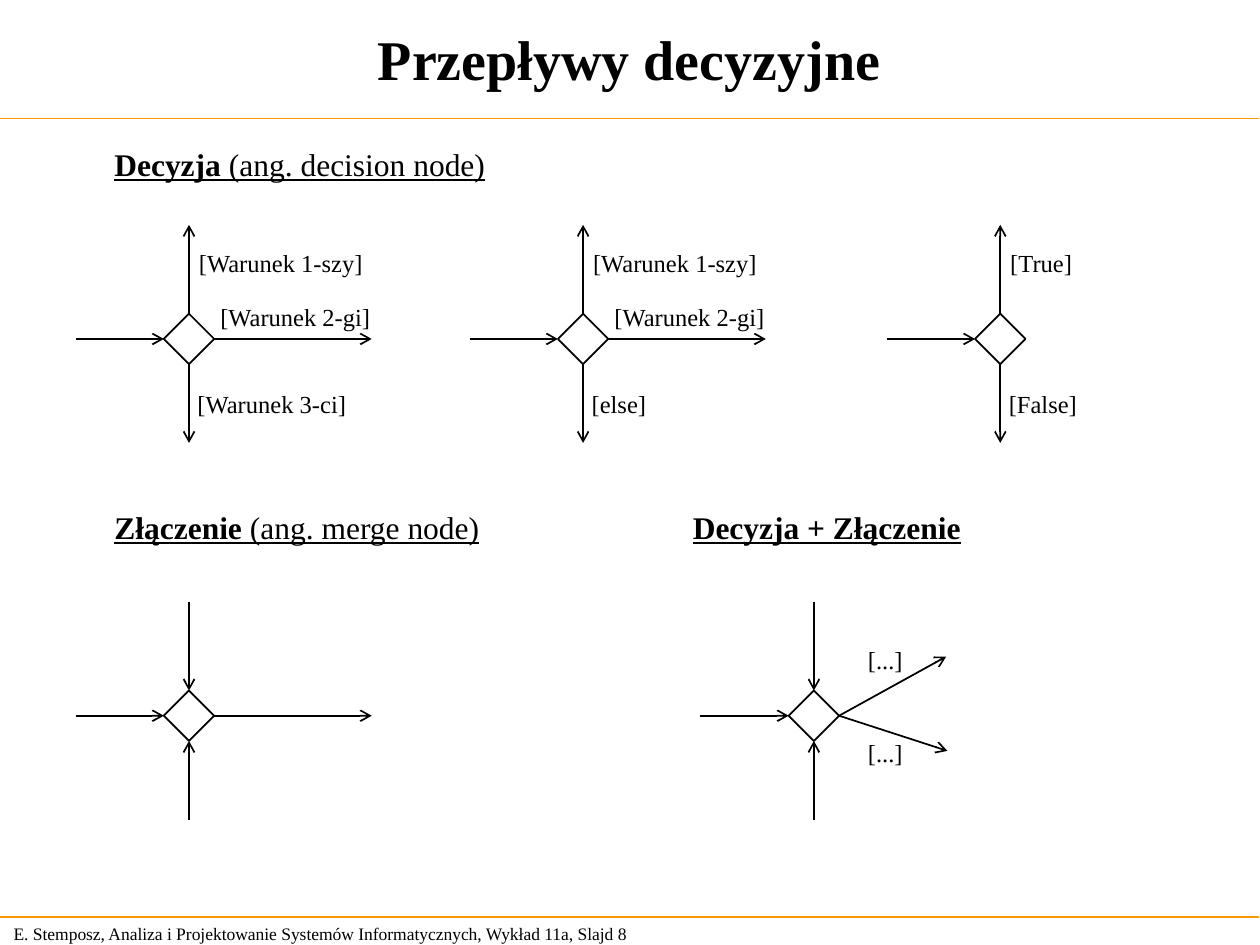
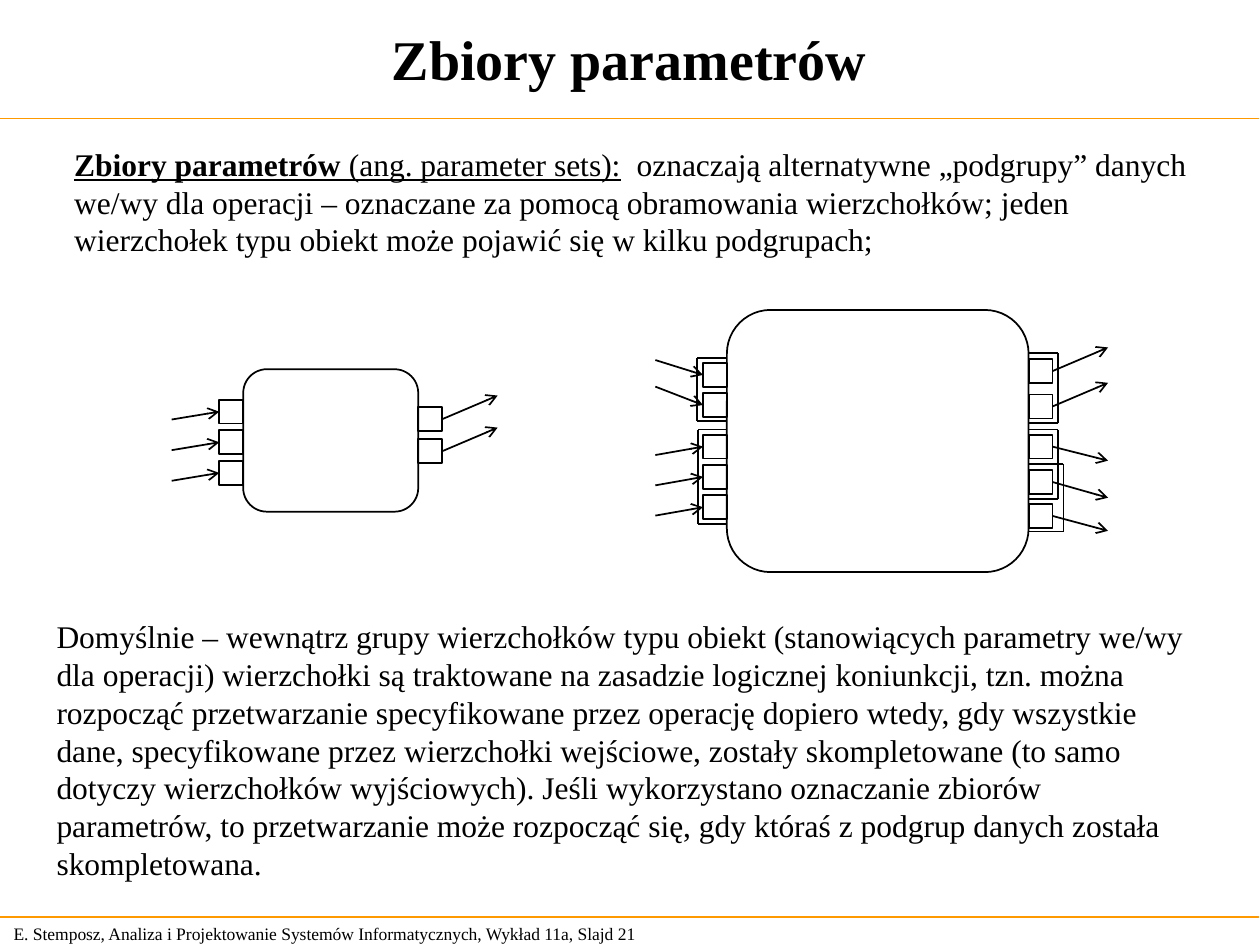
from pptx import Presentation
from pptx.dml.color import RGBColor
from pptx.enum.shapes import MSO_CONNECTOR, MSO_SHAPE
from pptx.enum.text import MSO_ANCHOR, MSO_AUTO_SIZE, PP_ALIGN
from pptx.oxml.ns import qn
from pptx.util import Pt
from lxml.etree import SubElement

FONT = "Times New Roman"
BLACK = "000000"
ORANGE = "FF9900"
FOOTER = "E. Stemposz, Analiza i Projektowanie Systemów Informatycznych, Wykład 11a, Slajd {}"
RULE_TOPS = (67.7, 523.9)
TOP, LEFT, BOTTOM, RIGHT = range(4)  # connection sites of rectangles and diamonds

NODE = 28.8
UPPER_ROW, LOWER_ROW = 193.7, 409
ARM_ENDS = {LEFT: (-64.8, 0), TOP: (0, -65.2), RIGHT: (104.4, 0), BOTTOM: (0, 59.4)}
# offset from the node's centre to the label's corner
UP_LABEL, RIGHT_LABEL, DOWN_LABEL = (-1.4, -55.5), (10.8, -24.5), (-2.2, 25.2)

PIN = 13.7


def color(hex_value):
    return RGBColor.from_string(hex_value)


def style_font(paragraph, size, bold=None):
    paragraph.font.name = FONT
    paragraph.font.size = Pt(size)
    paragraph.font.color.rgb = color(BLACK)
    paragraph.font.bold = bold


def add_text(slide, left, top, width, height, runs, size, wrap=True):
    """Add a one-paragraph box; runs are (text, bold, underline)."""
    box = slide.shapes.add_textbox(Pt(left), Pt(top), Pt(width), Pt(height))
    frame = box.text_frame
    frame.word_wrap = wrap
    frame.auto_size = MSO_AUTO_SIZE.SHAPE_TO_FIT_TEXT
    paragraph = frame.paragraphs[0]
    for text, bold, underline in runs:
        run = paragraph.add_run()
        run.text = text
        run.font.bold = bold
        run.font.underline = underline
    style_font(paragraph, size)
    return box


def add_line(slide, start, end, line_color=BLACK, arrow=False):
    line = slide.shapes.add_connector(
        MSO_CONNECTOR.STRAIGHT, *(Pt(value) for value in (*start, *end)))
    line.line.color.rgb = color(line_color)
    line.line.width = Pt(1)
    properties = line._element.spPr
    if arrow:
        SubElement(properties.find(qn("a:ln")), qn("a:tailEnd"), type="arrow")
    SubElement(properties, qn("a:effectLst"))
    return line


def add_arrow(slide, shape, site, outer, inward):
    """Join a side of a shape to an outer point; inward points at the shape."""
    arrow = add_line(slide, outer, outer, arrow=True)
    if inward:
        arrow.end_connect(shape, site)
    else:
        arrow.begin_connect(shape, site)


def add_outline(slide, kind, left, top, width, height):
    shape = slide.shapes.add_shape(kind, Pt(left), Pt(top), Pt(width), Pt(height))
    shape.shadow.inherit = False
    shape.fill.background()
    shape.line.color.rgb = color(BLACK)
    shape.line.width = Pt(1)
    return shape


def add_slide(deck, title, number):
    slide = deck.slides.add_slide(deck.slide_layouts.get_by_name("Title Only"))
    footer = add_text(slide, 0.7, 523.9, 377.3, 19.4,
                      [(FOOTER.format(number), None, None)], 10)
    footer.text_frame.vertical_anchor = MSO_ANCHOR.MIDDLE
    for top in RULE_TOPS:
        add_line(slide, (-0.7, top), (719.3, top), ORANGE)

    heading = slide.shapes.title
    heading.left, heading.top, heading.width, heading.height = (
        Pt(0), Pt(0), Pt(719.3), Pt(66.2))
    frame = heading.text_frame
    frame.text = title
    frame.auto_size = MSO_AUTO_SIZE.NONE
    frame.vertical_anchor = MSO_ANCHOR.MIDDLE
    frame.paragraphs[0].alignment = PP_ALIGN.CENTER
    style_font(frame.paragraphs[0], 32, True)
    return slide


def add_node(slide, x, y, inputs, outputs, labels=()):
    """Draw a diamond centred at x, y; arms are sites or (site, offset of the outer end)."""
    node = add_outline(slide, MSO_SHAPE.DIAMOND, x - NODE / 2, y - NODE / 2, NODE, NODE)
    for arms, inward in ((inputs, True), (outputs, False)):
        for arm in arms:
            site, (dx, dy) = arm if isinstance(arm, tuple) else (arm, ARM_ENDS[arm])
            add_arrow(slide, node, site, (x + dx, y + dy), inward)
    for text, (dx, dy), width in labels:
        add_text(slide, x + dx, y + dy, width, 24.5, [(text, None, None)], 14, wrap=False)


def add_pins(slide, left, pins, site, dx, inward):
    """Stack pins given as (top, vertical offset of the arrow's outer end)."""
    for top, dy in pins:
        pin = add_outline(slide, MSO_SHAPE.RECTANGLE, left, top, PIN, PIN)
        edge = left if site == LEFT else left + PIN
        add_arrow(slide, pin, site, (edge + dx, top + PIN / 2 + dy), inward)


def add_operation(slide, left, top, width, height, inputs, outputs):
    add_outline(slide, MSO_SHAPE.ROUNDED_RECTANGLE, left, top, width, height)
    add_pins(slide, left - PIN, inputs, LEFT, -27.2, inward=True)
    add_pins(slide, left + width, outputs, RIGHT, 31.7, inward=False)


def add_parameter_set(slide, edge, outer, top, bottom):
    corners = [(edge, top), (outer, top), (outer, bottom), (edge, bottom)]
    for start, end in zip(corners, corners[1:]):
        add_line(slide, start, end)


def build_decision_flows(deck):
    slide = add_slide(deck, "Przepływy decyzyjne", 8)
    headings = [
        (58.3, 79.2, 230, "Decyzja", " (ang. decision node)"),
        (58.3, 286.6, 226, "Złączenie", " (ang. merge node)"),
        (388.8, 286.6, 170, "Decyzja + Złączenie", ""),
    ]
    for left, top, width, term, translation in headings:
        runs = [(term, True, True)]
        if translation:
            runs.append((translation, False, True))
        add_text(slide, left, top, width, 28.8, runs, 18)

    first = ("[Warunek 1-szy]", UP_LABEL, 110)
    second = ("[Warunek 2-gi]", RIGHT_LABEL, 103)
    add_node(slide, 108, UPPER_ROW, [LEFT], [TOP, RIGHT, BOTTOM],
             [first, second, ("[Warunek 3-ci]", DOWN_LABEL, 102)])
    add_node(slide, 333.2, UPPER_ROW, [LEFT], [TOP, RIGHT, BOTTOM],
             [first, second, ("[else]", DOWN_LABEL, 48)])
    add_node(slide, 571.6, UPPER_ROW, [LEFT], [TOP, BOTTOM],
             [("[True]", UP_LABEL, 53), ("[False]", DOWN_LABEL, 56)])

    add_node(slide, 108, LOWER_ROW, [LEFT, TOP, BOTTOM], [RIGHT])
    add_node(slide, 465.1, LOWER_ROW, [LEFT, TOP, BOTTOM],
             [(RIGHT, (75.6, -33.8)), (RIGHT, (76.3, 20.1))],
             [("[...]", (23.8, -44), 38), ("[...]", (23.8, 9.3), 38)])


def build_parameter_sets(deck):
    slide = add_slide(deck, "Zbiory parametrów", 21)
    add_text(slide, 35.3, 79.2, 670.3, 72, [
        ("Zbiory parametrów ", True, True),
        ("(ang. parameter sets):", False, True),
        ("  oznaczają alternatywne „podgrupy” danych we/wy dla operacji – oznaczane "
         "za pomocą obramowania wierzchołków; jeden wierzchołek typu obiekt może "
         "pojawić się w kilku podgrupach;", False, False),
    ], 18)

    add_operation(slide, 139, 211, 100, 81.4,
                  [(228.4 + 17.5 * row, 4.5) for row in range(3)],
                  [(232.7, -13.5), (251, -13.5)])

    add_operation(slide, 415.4, 177.1, 172.4, 149.8,
                  [(207.4, -8.5), (224.6, -10.5)]
                  + [(248.4 + 17.3 * row, 4.8) for row in range(3)],
                  [(205.2, -13.5), (225.4, -13.5), (248.4, 8), (268.6, 9), (288, 8.5)])
    for outer, top, bottom in ((398.2, 204.5, 240.8), (398.7, 245.5, 299.5)):
        add_parameter_set(slide, 415.4, outer, top, bottom)
    for outer, top, bottom in ((604.8, 201.6, 241.9), (604.8, 245.5, 285.1),
                               (607.7, 265, 303.8)):
        add_parameter_set(slide, 587.8, outer, top, bottom)

    add_text(slide, 25.2, 349.2, 670.3, 158.4, [(
        "Domyślnie – wewnątrz grupy wierzchołków typu obiekt (stanowiących parametry "
        "we/wy dla operacji) wierzchołki są traktowane na zasadzie logicznej koniunkcji, "
        "tzn. można rozpocząć przetwarzanie specyfikowane przez operację dopiero wtedy, "
        "gdy wszystkie dane, specyfikowane przez wierzchołki wejściowe, zostały "
        "skompletowane (to samo dotyczy wierzchołków wyjściowych). Jeśli wykorzystano "
        "oznaczanie zbiorów parametrów, to przetwarzanie może rozpocząć się, gdy któraś "
        "z podgrup danych została skompletowana.", None, None)], 18)


def main():
    deck = Presentation()
    deck.slide_width, deck.slide_height = Pt(720), Pt(540)
    build_decision_flows(deck)
    build_parameter_sets(deck)
    deck.save("out.pptx")


if __name__ == "__main__":
    main()
